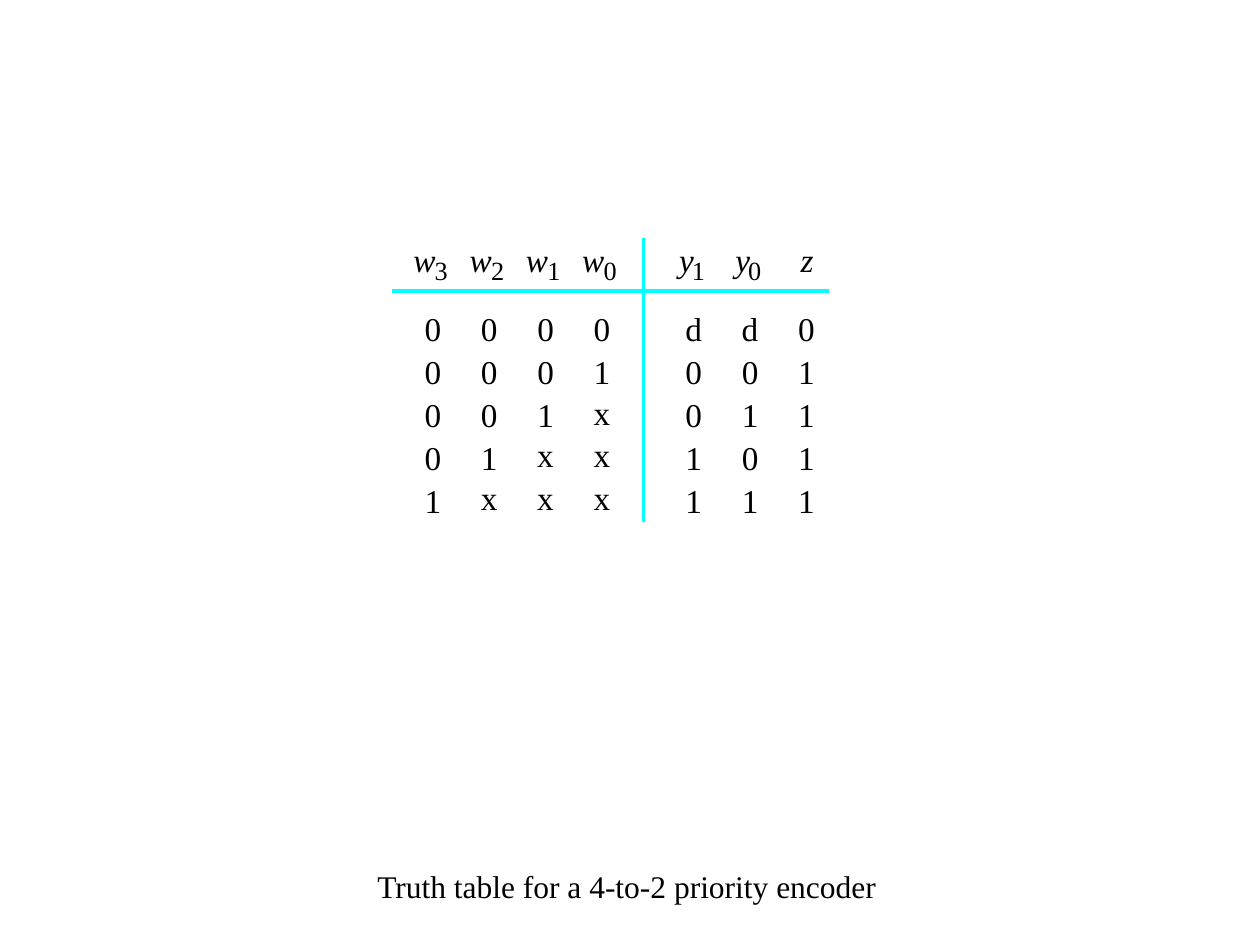
from dataclasses import dataclass

from lxml import etree
from pptx import Presentation
from pptx.dml.color import RGBColor
from pptx.enum.shapes import MSO_CONNECTOR
from pptx.enum.text import MSO_AUTO_SIZE, PP_ALIGN
from pptx.oxml.ns import qn
from pptx.util import Inches, Pt

STRAIGHT = MSO_CONNECTOR.STRAIGHT
FIT_SHAPE = MSO_AUTO_SIZE.SHAPE_TO_FIT_TEXT
CENTER = PP_ALIGN.CENTER

COLORS = {"text": "000000", "rule": "00FFFF"}
FONT = "Times New Roman"
BODY_SIZE, SUBSCRIPT_SIZE, CAPTION_SIZE = 19, 15, 18

COLUMN_PITCH = 0.447
INPUT_LEFT, OUTPUT_LEFT = 3.37, 5.44
HEADER_TOP, SUBSCRIPT_TOP = 1.9, 2.02
FIRST_ROW_TOP, ROW_PITCH = 2.45, 0.34
CELL_HEIGHT, SUBSCRIPT_HEIGHT, SUBSCRIPT_WIDTH = 0.32, 0.25, 0.12
CELL_WIDTHS = {"0": 0.15, "1": 0.15, "d": 0.16, "x": 0.14}
X_RAISE = 0.02


@dataclass
class Letter:
    width: float
    shift: float
    subscript_shift: float = 0


@dataclass
class Column:
    letter: str
    subscript: str
    left: float
    values: str


LETTERS = {
    "w": Letter(0.19, -0.09, 0.08),
    "y": Letter(0.12, -0.05, 0.05),
    "z": Letter(0.12, 0.02),
}
COLUMNS = [
    Column("w", "3", INPUT_LEFT, "00001"),
    Column("w", "2", INPUT_LEFT + COLUMN_PITCH, "0001x"),
    Column("w", "1", INPUT_LEFT + 2 * COLUMN_PITCH, "001xx"),
    Column("w", "0", INPUT_LEFT + 3 * COLUMN_PITCH, "01xxx"),
    Column("y", "1", OUTPUT_LEFT, "d0011"),
    Column("y", "0", OUTPUT_LEFT + COLUMN_PITCH, "d0101"),
    Column("z", "", OUTPUT_LEFT + 2 * COLUMN_PITCH, "01111"),
]


def add_text(page, text: str, left: float, top: float, width: float,
             height: float, size: int, italic: bool = False):
    box = page.shapes.add_textbox(
        Inches(left), Inches(top), Inches(width), Inches(height))
    para = box.text_frame.paragraphs[0]
    para.text = text
    para.font.name = FONT
    para.font.size = Pt(size)
    para.font.italic = italic
    para.font.color.rgb = RGBColor.from_string(COLORS["text"])
    return box


def add_symbol(page, text: str, left: float, top: float, width: float,
               height: float = CELL_HEIGHT, size: int = BODY_SIZE,
               italic: bool = False) -> None:
    frame = add_text(page, text, left, top, width, height, size, italic).text_frame
    frame.margin_left = frame.margin_right = 0
    frame.margin_top = frame.margin_bottom = 0
    frame.word_wrap = False
    frame.auto_size = FIT_SHAPE


def add_column(page, column: Column) -> None:
    letter = LETTERS[column.letter]
    add_symbol(page, column.letter, column.left + letter.shift, HEADER_TOP,
               letter.width, italic=True)
    if column.subscript:
        add_symbol(page, column.subscript, column.left + letter.subscript_shift,
                   SUBSCRIPT_TOP, SUBSCRIPT_WIDTH, SUBSCRIPT_HEIGHT, SUBSCRIPT_SIZE)
    for row, value in enumerate(column.values):
        top = FIRST_ROW_TOP + row * ROW_PITCH
        if value == "x":
            top -= X_RAISE
        add_symbol(page, value, column.left, top, CELL_WIDTHS[value])


def add_rule(page, x1: float, y1: float, x2: float, y2: float) -> None:
    rule = page.shapes.add_connector(
        STRAIGHT, Inches(x1), Inches(y1), Inches(x2), Inches(y2))
    rule.line.color.rgb = RGBColor.from_string(COLORS["rule"])
    rule.line.width = Pt(1.87)
    etree.SubElement(rule._element.spPr, qn("a:effectLst"))


def add_caption(page) -> None:
    box = add_text(page, "Truth table for a 4-to-2 priority encoder",
                   1.03, 6.83, 7.89, 0.5, CAPTION_SIZE)
    box.text_frame.word_wrap = True
    box.text_frame.paragraphs[0].alignment = CENTER


def main() -> None:
    deck = Presentation()
    deck.slide_width, deck.slide_height = Inches(10), Inches(7.5)
    page = deck.slides.add_slide(deck.slide_layouts.get_by_name("Blank"))
    add_caption(page)
    add_rule(page, 3.11, 2.31, 6.58, 2.31)
    add_rule(page, 5.11, 4.14, 5.11, 1.89)
    for column in COLUMNS:
        add_column(page, column)
    deck.save("out.pptx")


if __name__ == "__main__":
    main()
